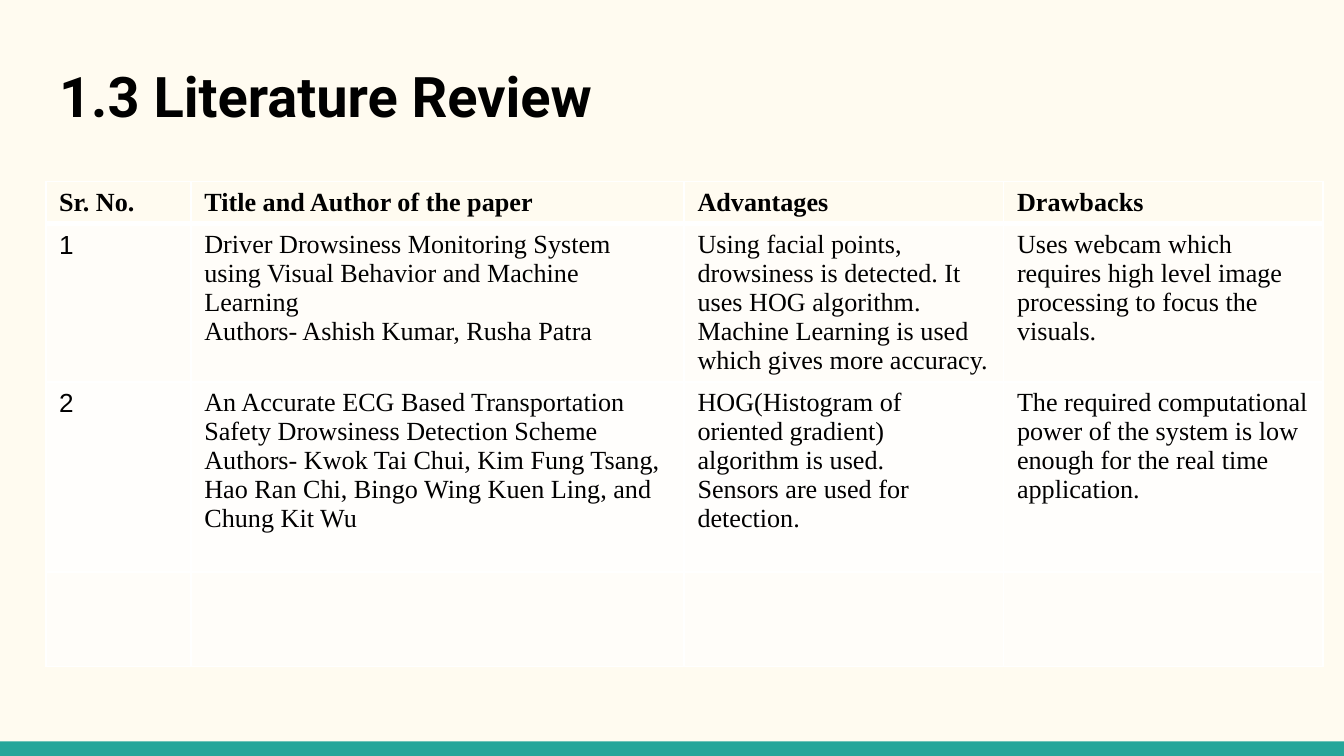
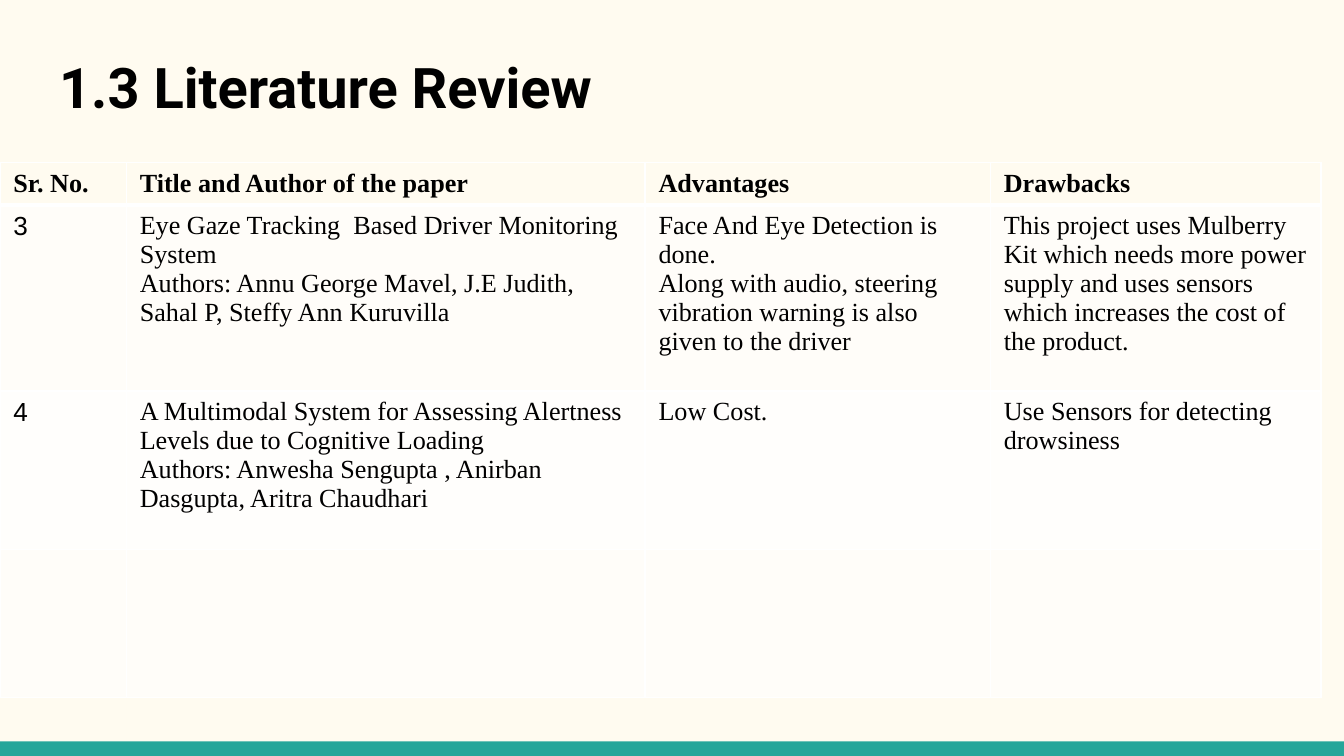
"""Builds two literature review slides, each with a title and a comparison table."""
from lxml import etree
from pptx import Presentation
from pptx.dml.color import RGBColor
from pptx.enum.shapes import MSO_SHAPE
from pptx.enum.text import MSO_ANCHOR, PP_ALIGN
from pptx.oxml.ns import qn
from pptx.util import Pt

RECTANGLE = MSO_SHAPE.RECTANGLE
TOP = MSO_ANCHOR.TOP
LEFT = PP_ALIGN.LEFT

PAGE_WIDTH, PAGE_HEIGHT = 720, 405
BAND_HEIGHT = 7.8
TITLE_LEFT, TITLE_WIDTH, TITLE_HEIGHT = 24.5, 671, 48.2
TITLE_INSET = 7.2

CREAM, TEAL, BLACK, WHITE = "FFFBF0", "26A69A", "000000", "FFFFFF"
ROW_FILLS = [CREAM, "FFFDF9", "FFFEFC", "FFFDF9"]
TITLE_FONT, NUMBER_FONT, BODY_FONT = "Roboto", "Arial", "Times New Roman"
THIN, THICK = 1, 3

TITLE = "1.3 Literature Review"
HEADINGS = ["Sr. No.", "Title and Author of the paper", "Advantages", "Drawbacks"]

SLIDES = [
    {
        "title_top": 25.9,
        "table_at": (24.5, 97.2),
        "columns": [77.8, 264.2, 171.2, 171.2],
        "rows": [22.5, 84.6, 102, 50.5],
        "papers": [
            ["1",
             "Driver Drowsiness Monitoring System using Visual Behavior and Machine Learning\n"
             "Authors- Ashish Kumar, Rusha Patra",
             "Using facial points, drowsiness is detected. It uses HOG algorithm.\n"
             "Machine Learning is used which gives more accuracy.",
             "Uses webcam which requires high level image processing to focus the visuals."],
            ["2",
             "An Accurate ECG Based Transportation Safety Drowsiness Detection Scheme "
             "Authors- Kwok Tai Chui, Kim Fung Tsang, Hao Ran Chi, Bingo Wing Kuen Ling, "
             "and Chung Kit Wu",
             "HOG(Histogram of oriented gradient) algorithm is used.\n"
             "Sensors are used for detection.",
             "The required computational power of the system is low enough for the "
             "real time application."],
        ],
    },
    {
        "title_top": 20.9,
        "table_at": (0, 87.1),
        "columns": [67.7, 277.9, 185, 177.2],
        "rows": [22.5, 99.6, 85, 79.2],
        "papers": [
            ["3",
             "Eye Gaze Tracking  Based Driver Monitoring System\n"
             "Authors: Annu George Mavel, J.E Judith, Sahal P, Steffy Ann Kuruvilla",
             "Face And Eye Detection is done.\n"
             "Along with audio, steering vibration warning is also given to the driver",
             "This project uses Mulberry Kit which needs more power supply and uses "
             "sensors which increases the cost of the product."],
            ["4",
             "A Multimodal System for Assessing Alertness Levels due to Cognitive Loading\n"
             "Authors: Anwesha Sengupta , Anirban Dasgupta, Aritra Chaudhari",
             "Low Cost.",
             "Use Sensors for detecting drowsiness"],
        ],
    },
]


def color(value):
    return RGBColor.from_string(value)


def write(frame, text, font=BODY_FONT, size=14, bold=False):
    frame.text = text
    frame.word_wrap = True
    for para in frame.paragraphs:
        para.alignment = LEFT
        for span in para.runs:
            span.font.name = font
            span.font.size = Pt(size)
            span.font.bold = bold
            span.font.color.rgb = color(BLACK)


def add_border(cell, side, width):
    properties = cell._tc.get_or_add_tcPr()
    line = etree.SubElement(properties, qn(f"a:ln{side}"), w=str(Pt(width)))
    fill = etree.SubElement(line, qn("a:solidFill"))
    etree.SubElement(fill, qn("a:srgbClr"), val=WHITE)


def add_title(page, top):
    title = page.shapes.title
    title.left, title.top = Pt(TITLE_LEFT), Pt(top)
    title.width, title.height = Pt(TITLE_WIDTH), Pt(TITLE_HEIGHT)
    frame = title.text_frame
    frame.margin_left = frame.margin_right = Pt(TITLE_INSET)
    frame.margin_top = frame.margin_bottom = Pt(TITLE_INSET)
    frame.vertical_anchor = TOP
    write(frame, TITLE, font=TITLE_FONT, size=30, bold=True)


def add_review_table(page, content):
    columns, rows = content["columns"], content["rows"]
    left, top = content["table_at"]
    table = page.shapes.add_table(len(rows), len(columns), Pt(left), Pt(top),
                                  Pt(sum(columns)), Pt(sum(rows))).table
    table.first_row = table.horz_banding = False
    for column, width in zip(table.columns, columns):
        column.width = Pt(width)
    for row, height in zip(table.rows, rows):
        row.height = Pt(height)

    blank = [""] * len(columns)
    for r, texts in enumerate([HEADINGS, *content["papers"], blank]):
        for c, text in enumerate(texts):
            cell = table.cell(r, c)
            is_number = r > 0 and c == 0
            write(cell.text_frame, text, bold=r == 0,
                  font=NUMBER_FONT if is_number else BODY_FONT)
            add_border(cell, "L", THIN)
            add_border(cell, "R", THIN)
            add_border(cell, "T", THICK if r == 1 else THIN)
            add_border(cell, "B", THICK if r == 0 else THIN)
            cell.fill.solid()
            cell.fill.fore_color.rgb = color(ROW_FILLS[r])


def add_band(page):
    band = page.shapes.add_shape(RECTANGLE, 0, Pt(PAGE_HEIGHT - BAND_HEIGHT),
                                 Pt(PAGE_WIDTH), Pt(BAND_HEIGHT))
    band.shadow.inherit = False
    band.fill.solid()
    band.fill.fore_color.rgb = color(TEAL)
    band.line.fill.background()


def main():
    deck = Presentation()
    deck.slide_width, deck.slide_height = Pt(PAGE_WIDTH), Pt(PAGE_HEIGHT)
    backdrop = deck.slide_master.background.fill
    backdrop.solid()
    backdrop.fore_color.rgb = color(CREAM)
    title_only = deck.slide_layouts[5]
    for content in SLIDES:
        page = deck.slides.add_slide(title_only)
        add_band(page)
        add_title(page, content["title_top"])
        add_review_table(page, content)
    deck.save("out.pptx")


if __name__ == "__main__":
    main()
